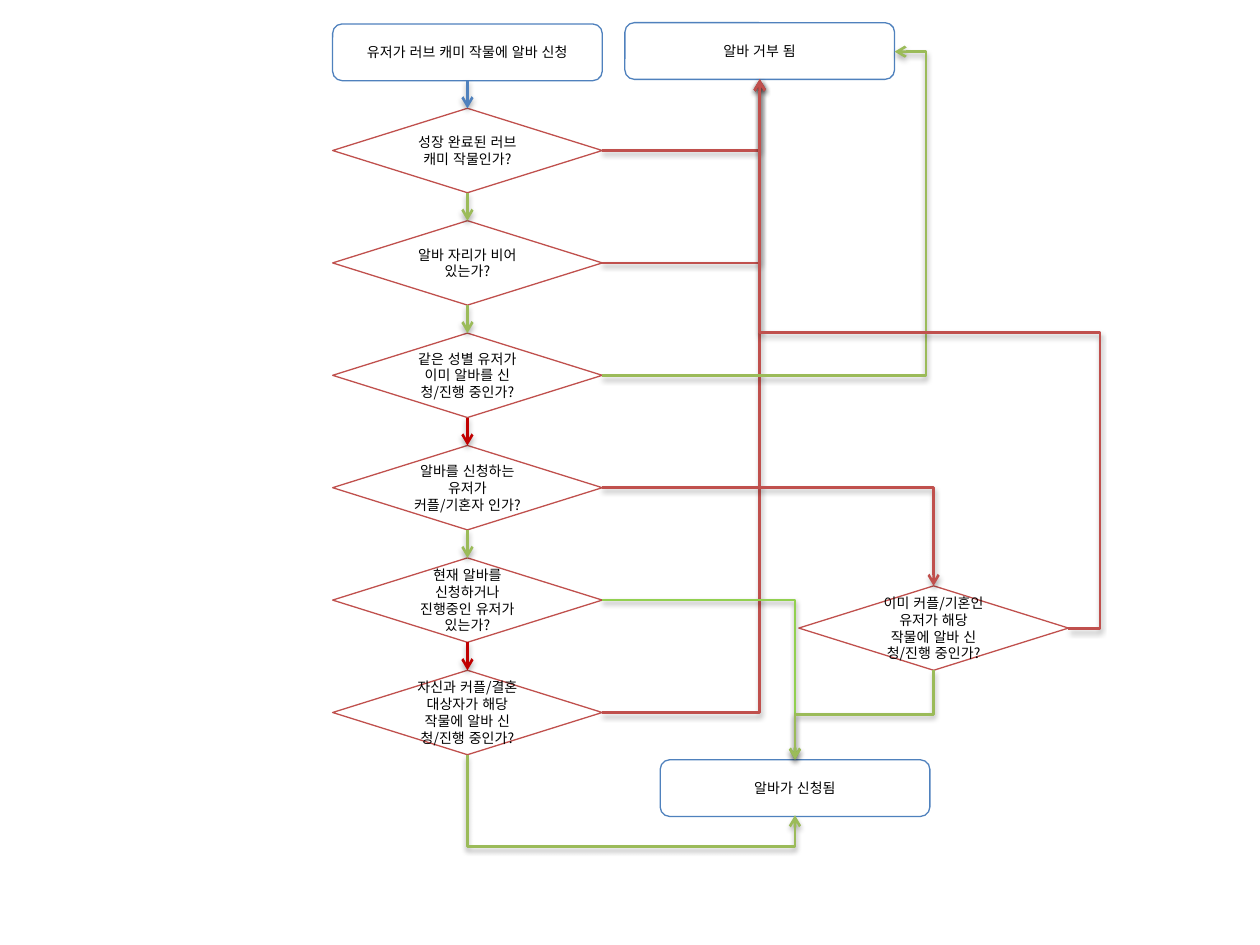
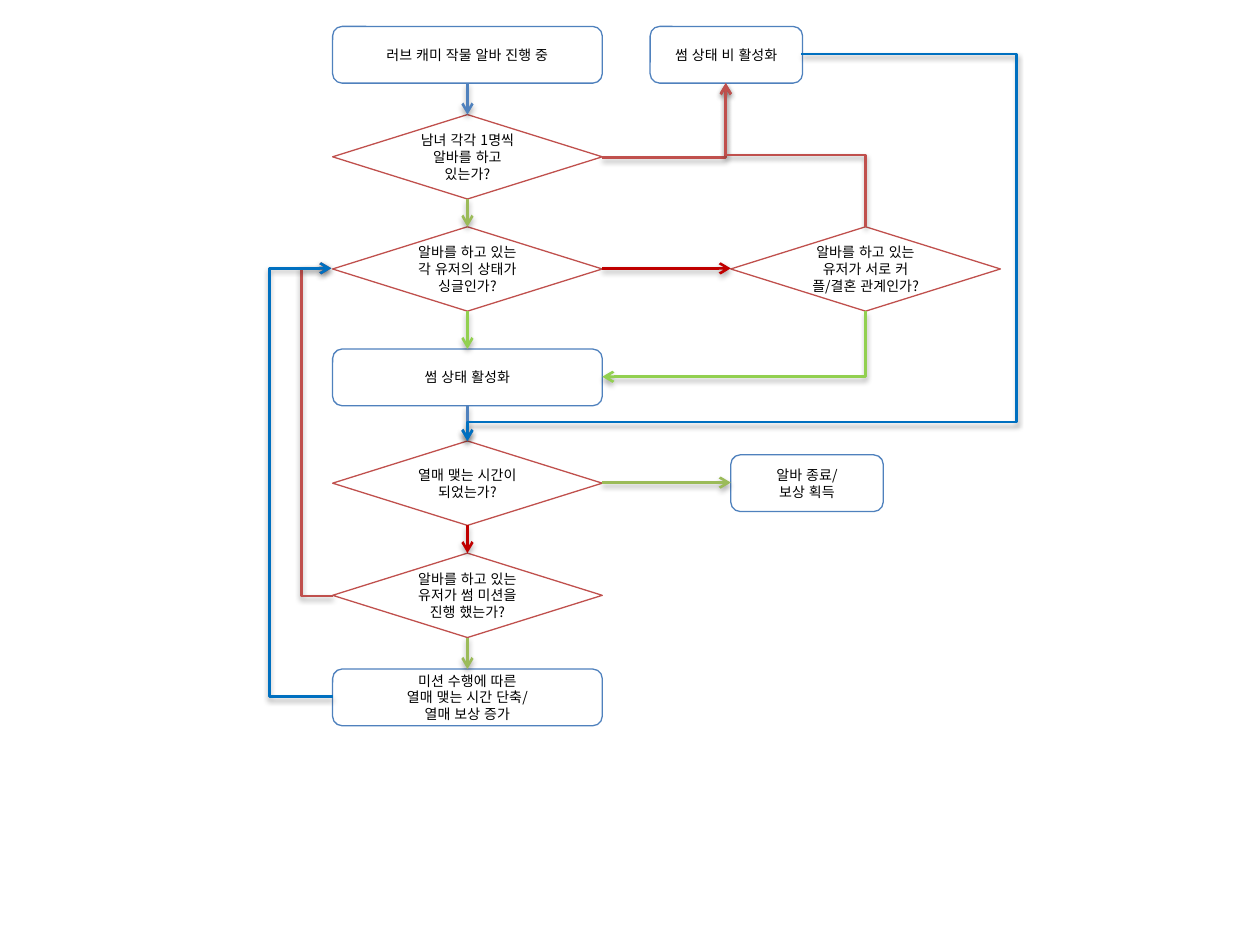
from lxml.etree import SubElement
from pptx import Presentation
from pptx.dml.color import RGBColor
from pptx.enum.lang import MSO_LANGUAGE_ID as LANGUAGE
from pptx.enum.shapes import MSO_CONNECTOR as CONNECTOR, MSO_SHAPE as SHAPE
from pptx.enum.text import MSO_ANCHOR, PP_ALIGN
from pptx.oxml.ns import qn
from pptx.util import Inches, Pt

FONT = "Noto Sans CJK KR"
WHITE, BLACK = "FFFFFF", "000000"
BLUE, RED, GREEN = "4F81BD", "C0504D", "9BBB59"
DARK_RED, LIME, DEEP_BLUE = "C00000", "92D050", "0070C0"
LEFT, CENTER, RIGHT = 2.64, 3.71, 4.78
STEP_W, STEP_H, QUESTION_H = 2.14, 0.45, 0.67
SMALL_W = 1.21

color = RGBColor.from_string


def add_node(slide, text, left, top, width=STEP_W, question=False):
    kind = SHAPE.FLOWCHART_DECISION if question else SHAPE.ROUNDED_RECTANGLE
    height = QUESTION_H if question else STEP_H
    node = slide.shapes.add_shape(kind, Inches(left), Inches(top), Inches(width), Inches(height))
    node.shadow.inherit = False
    node.fill.solid()
    node.fill.fore_color.rgb = color(WHITE)
    node.line.color.rgb = color(RED if question else BLUE)
    node.line.width = Pt(0.75)
    frame = node.text_frame
    frame.text = text
    frame.word_wrap = True
    frame.vertical_anchor = MSO_ANCHOR.MIDDLE
    for paragraph in frame.paragraphs:
        paragraph.alignment = PP_ALIGN.CENTER
        for run in paragraph.runs:
            run.font.size = Pt(8)
            run.font.name = FONT
            run.font.language_id = LANGUAGE.KOREAN
            run.font.color.rgb = color(BLACK)
            SubElement(run.font._element, qn("a:ea"), typeface=FONT)


def add_route(slide, hue, *points):
    (x1, y1), (x2, y2) = points[0], points[-1]
    axis = 0 if points[1][1] == y1 else 1
    bent = len(points) > 2
    rotation = 0
    if bent and axis:
        rotation = 90 if y2 > y1 and x2 < x1 else 270
        turn = 1 if rotation == 90 else -1
        mid_x, mid_y = (x1 + x2) / 2, (y1 + y2) / 2
        half_w, half_h = turn * (y2 - y1) / 2, turn * (x1 - x2) / 2
        x1, y1, x2, y2 = mid_x - half_w, mid_y - half_h, mid_x + half_w, mid_y + half_h
    route = slide.shapes.add_connector(
        CONNECTOR.ELBOW if bent else CONNECTOR.STRAIGHT,
        Inches(x1), Inches(y1), Inches(x2), Inches(y2))
    properties = route.element.spPr
    if rotation:
        properties.find(qn("a:xfrm")).set("rot", str(rotation * 60000))
    if bent:
        geometry = properties.find(qn("a:prstGeom"))
        geometry.set("prst", f"bentConnector{len(points) - 1}")
        guides = geometry.find(qn("a:avLst"))
        for i in range(len(points) - 3):
            along = (axis + i) % 2
            start, bend, end = (points[k][along] for k in (0, i + 1, -1))
            share = round((bend - start) / (end - start) * 100000)
            SubElement(guides, qn("a:gd"), name=f"adj{i + 1}", fmla=f"val {share}")
    route.line.color.rgb = color(hue)
    route.line.width = Pt(1.5)
    SubElement(properties.find(qn("a:ln")), qn("a:tailEnd"), type="arrow")
    effects = SubElement(properties, qn("a:effectLst"))
    shadow = SubElement(effects, qn("a:outerShdw"), blurRad="40000", dist="23000",
                        dir="5400000", rotWithShape="0")
    shade = SubElement(shadow, qn("a:srgbClr"), val=BLACK)
    SubElement(shade, qn("a:alpha"), val="35000")


deck = Presentation()
deck.slide_width, deck.slide_height = Inches(10), Inches(7.5)
application, progress = (deck.slides.add_slide(deck.slide_layouts[6]) for _ in range(2))

add_node(application, "유저가 러브 캐미 작물에 알바 신청", LEFT, 0.19)
add_node(application, "알바 거부 됨", 4.96, 0.18)
add_node(application, "알바가 신청됨", 5.24, 6.03)
add_node(application, "이미 커플/기혼인 유저가 해당 작물에 알바 신청/진행 중인가?", 6.34, 4.65, question=True)

checks = [
    ("성장 완료된 러브 캐미 작물인가?", BLUE),
    ("알바 자리가 비어 있는가?", GREEN),
    ("같은 성별 유저가 이미 알바를 신청/진행 중인가?", GREEN),
    ("알바를 신청하는 유저가 커플/기혼자 인가?", DARK_RED),
    ("현재 알바를 신청하거나 진행중인 유저가 있는가?", GREEN),
    ("자신과 커플/결혼 대상자가 해당 작물에 알바 신청/진행 중인가?", DARK_RED),
]
pitch = (5.32 - 0.86) / (len(checks) - 1)
middles = []
previous_bottom = 0.64
for i, (check, entry_hue) in enumerate(checks):
    top = 0.86 + i * pitch
    add_node(application, check, LEFT, top, question=True)
    add_route(application, entry_hue, (CENTER, previous_bottom), (CENTER, top))
    previous_bottom = top + QUESTION_H
    middles.append(top + QUESTION_H / 2)

refused = (6.03, 0.63)
for i in (0, 1, 5):
    add_route(application, RED, (RIGHT, middles[i]), (6.03, middles[i]), refused)
add_route(application, GREEN, (RIGHT, middles[2]), (7.35, middles[2]), (7.35, 0.41), (7.1, 0.41))
add_route(application, RED, (8.48, 4.99), (8.73, 4.99), (8.73, 2.64), (6.03, 2.64), refused)
add_route(application, RED, (RIGHT, middles[3]), (7.41, middles[3]), (7.41, 4.65))
accepted = (6.31, 6.03)
add_route(application, LIME, (RIGHT, middles[4]), (6.31, middles[4]), accepted)
add_route(application, GREEN, (7.41, 5.32), (7.41, 5.67), (6.31, 5.67), accepted)
add_route(application, GREEN, (CENTER, 5.99), (CENTER, 6.72), (6.31, 6.72), (6.31, 6.47))

add_node(progress, "썸 상태 비 활성화", 5.16, 0.21, SMALL_W)
add_node(progress, "알바 종료/\n보상 획득", 5.8, 3.61, SMALL_W)
add_node(progress, "알바를 하고 있는 유저가 서로 커플/결혼 관계인가?", 5.8, 1.8, question=True)

stages = [
    ("러브 캐미 작물 알바 진행 중", 0.21, False, BLUE),
    ("남녀 각각 1명씩 알바를 하고 있는가?", 0.91, True, GREEN),
    ("알바를 하고 있는 각 유저의 상태가 싱글인가?", 1.8, True, LIME),
    ("썸 상태 활성화", 2.77, False, BLUE),
    ("열매 맺는 시간이 되었는가?", 3.5, True, DARK_RED),
    ("알바를 하고 있는 유저가 썸 미션을 진행 했는가?", 4.39, True, GREEN),
    ("미션 수행에 따른\n열매 맺는 시간 단축/\n열매 보상 증가", 5.31, False, None),
]
for stage, top, question, _ in stages:
    add_node(progress, stage, LEFT, top, question=question)
for (_, top, question, exit_hue), (_, next_top, _, _) in zip(stages, stages[1:]):
    bottom = top + (QUESTION_H if question else STEP_H)
    add_route(progress, exit_hue, (CENTER, bottom), (CENTER, next_top))

inactive = (5.76, 0.66)
single_check = (2.63, 2.13)
add_route(progress, RED, (RIGHT, 1.25), (5.76, 1.25), inactive)
add_route(progress, RED, (6.87, 1.8), (6.87, 1.23), (5.76, 1.23), inactive)
add_route(progress, DARK_RED, (RIGHT, 2.13), (5.8, 2.13))
add_route(progress, LIME, (6.87, 2.47), (6.87, 2.99), (RIGHT, 2.99))
add_route(progress, GREEN, (RIGHT, 3.83), (5.8, 3.83))
add_route(progress, RED, (LEFT, 4.73), (2.39, 4.73), (2.39, 2.13), single_check)
add_route(progress, DEEP_BLUE, (LEFT, 5.53), (2.13, 5.53), (2.13, 2.13), single_check)
add_route(progress, DEEP_BLUE, (6.36, 0.43), (8.07, 0.43), (8.07, 3.35), (CENTER, 3.35), (CENTER, 3.5))

deck.save("out.pptx")
